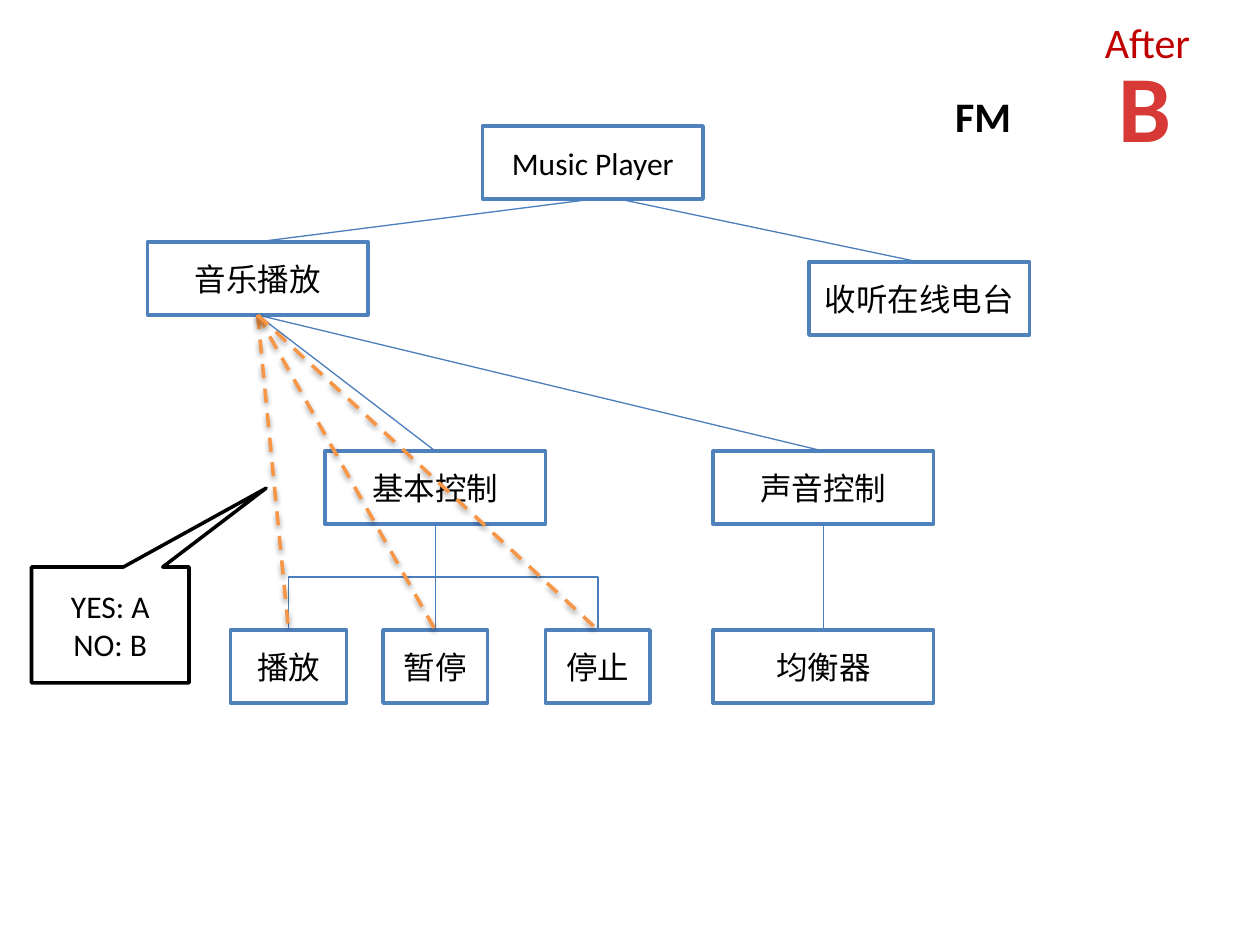
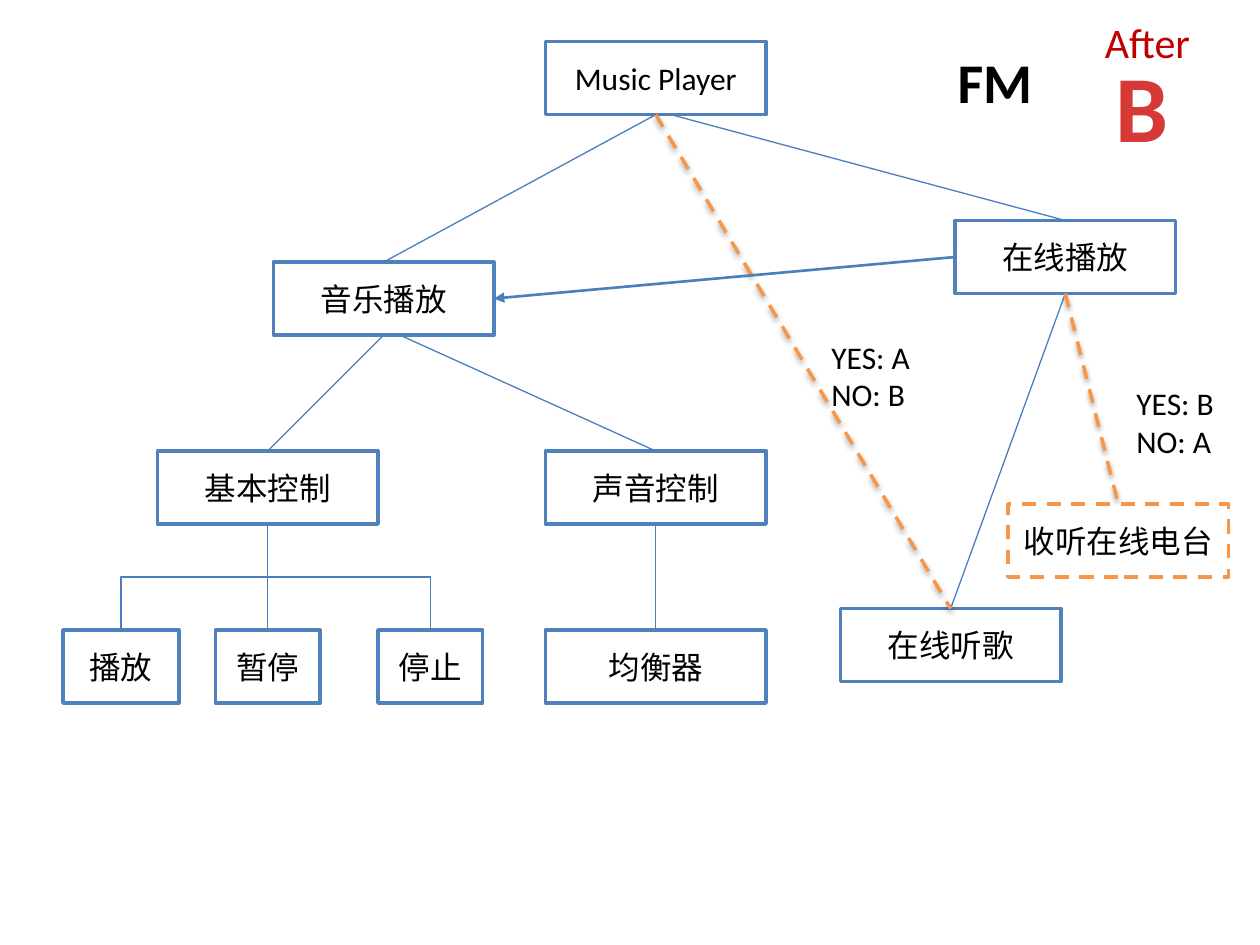
from dataclasses import dataclass

from lxml.etree import SubElement
from pptx import Presentation
from pptx.dml.color import RGBColor
from pptx.enum.dml import MSO_LINE
from pptx.enum.shapes import MSO_CONNECTOR, MSO_SHAPE
from pptx.enum.text import MSO_ANCHOR, PP_ALIGN
from pptx.oxml.ns import qn
from pptx.util import Inches, Pt


@dataclass(frozen=True)
class Theme:
    """Colours, type sizes and box sizes shared by both slides."""
    font: str = "Calibri"
    ink: str = "000000"
    paper: str = "FFFFFF"
    border: str = "4F81BD"
    link: str = "4B7EBC"
    optional: str = "F79646"
    after: str = "C00000"
    variant: str = "D73A36"
    body: int = 18
    label: int = 24
    heading: int = 32
    letter: int = 54
    box_w: float = 1.75
    box_h: float = 0.58
    small_w: float = 0.83


T = Theme()
BOTTOM, TOP, LEFT, RIGHT = 2, 0, 1, 3


def rgb(value):
    """Return a colour from its hex value."""
    return RGBColor.from_string(value)


def write(tf, text, size=T.body, color=T.ink, bold=False, align=PP_ALIGN.LEFT):
    """Fill a text frame, one paragraph for each line of text."""
    for i, line in enumerate(text.split("\n")):
        p = tf.paragraphs[0] if i == 0 else tf.add_paragraph()
        p.alignment = align
        r = p.add_run()
        r.text = line
        r.font.name, r.font.size, r.font.bold = T.font, Pt(size), bold
        r.font.color.rgb = rgb(color)


def style_line(line, color, width, dashed=False):
    """Set the colour, width and dash of a line."""
    line.color.rgb = rgb(color)
    line.width = Pt(width)
    if dashed:
        line.dash_style = MSO_LINE.DASH


def add_box(s, text, x, y, w=T.box_w, h=T.box_h, kind=MSO_SHAPE.RECTANGLE,
            color=T.border, dashed=False):
    """Add an outlined white shape with centred text."""
    sp = s.shapes.add_shape(kind, Inches(x), Inches(y), Inches(w), Inches(h))
    sp.shadow.inherit = False
    sp.fill.solid()
    sp.fill.fore_color.rgb = rgb(T.paper)
    style_line(sp.line, color, 2, dashed)
    tf = sp.text_frame
    tf.word_wrap = True
    tf.vertical_anchor = MSO_ANCHOR.MIDDLE
    write(tf, text, align=PP_ALIGN.CENTER)
    return sp


def add_text(s, text, x, y, w, h, inset=0.1, wrap=True, **fmt):
    """Add a text box."""
    sp = s.shapes.add_textbox(Inches(x), Inches(y), Inches(w), Inches(h))
    tf = sp.text_frame
    tf.word_wrap = wrap
    tf.margin_left = Inches(inset)
    write(tf, text, **fmt)


def set_effects(cx, shadow=False):
    """Clear the effects of a connector, or give it a soft shadow."""
    effects = SubElement(cx._element.spPr, qn("a:effectLst"))
    if shadow:
        outer = SubElement(effects, qn("a:outerShdw"), blurRad="40000",
                           dist="20000", dir="5400000", rotWithShape="0")
        black = SubElement(outer, qn("a:srgbClr"), val=T.ink)
        SubElement(black, qn("a:alpha"), val="38000")


def add_link(s, parent, child, shift=0, sites=(BOTTOM, TOP), color=T.link,
             width=0.75, dashed=False, arrow=False):
    """Join two shapes with a straight line, its start shifted sideways."""
    cx = s.shapes.add_connector(MSO_CONNECTOR.STRAIGHT, 0, 0, 0, 0)
    cx.begin_connect(parent, sites[0])
    cx.end_connect(child, sites[1])
    if shift:
        cx.begin_x += Inches(shift)
    style_line(cx.line, color, width, dashed)
    if arrow:
        SubElement(cx.line._get_or_add_ln(), qn("a:tailEnd"), type="triangle")
    set_effects(cx, shadow=dashed)


def add_option(s, parent, child):
    """Join two shapes with a dashed line for an optional feature."""
    add_link(s, parent, child, color=T.optional, width=2, dashed=True)


def add_elbow(s, parent, child):
    """Join a parent's bottom to a child's top with a vertical elbow."""
    x1, y1 = parent.left + parent.width // 2, parent.top + parent.height
    x2, y2 = child.left + child.width // 2, child.top
    mid_x, mid_y = (x1 + x2) // 2, (y1 + y2) // 2
    half_w, half_h = (y2 - y1) // 2, abs(x2 - x1) // 2
    side = 1 if x2 > x1 else -1
    cx = s.shapes.add_connector(
        MSO_CONNECTOR.ELBOW, mid_x + side * half_w, mid_y - half_h,
        mid_x - side * half_w, mid_y + half_h)
    turn = 270 if side == 1 else 90
    cx._element.spPr.find(qn("a:xfrm")).set("rot", str(turn * 60000))
    style_line(cx.line, T.link, 0.75)
    set_effects(cx)


def add_controls(s, music, x, shift=0):
    """Add the control branch under the music box; return its leaf boxes."""
    basic = add_box(s, "基本控制", x, 3.58)
    sound = add_box(s, "声音控制", x + 3.08, 3.58)
    equalizer = add_box(s, "均衡器", x + 3.08, 5)
    play = add_box(s, "播放", x - 0.75, 5, w=0.92)
    pause = add_box(s, "暂停", x + 0.46, 5, w=T.small_w)
    stop = add_box(s, "停止", x + 1.75, 5, w=T.small_w)
    add_link(s, music, basic)
    add_link(s, music, sound, shift=shift)
    add_link(s, sound, equalizer)
    add_elbow(s, basic, play)
    add_link(s, basic, pause)
    add_elbow(s, basic, stop)
    return play, pause, stop


def add_corner(s, fm_y, fm_size, fm_inset, letter_x):
    """Add the FM heading and the variant mark at the top right."""
    add_text(s, "FM", 7.42, fm_y, 1.2, 0.6, inset=fm_inset, size=fm_size,
             bold=True)
    add_text(s, "B", letter_x, 0.33, 0.63, 1.01, wrap=False, size=T.letter,
             color=T.variant, bold=True, align=PP_ALIGN.CENTER)
    add_text(s, "After", 8.67, 0.08, 1.3, 0.5, size=T.label, color=T.after)


def add_playback_slide(prs):
    """Build the slide with optional basic controls."""
    s = prs.slides.add_slide(prs.slide_layouts[6])
    player = add_box(s, "Music Player", 3.83, 1)
    music = add_box(s, "音乐播放", 1.17, 1.92)
    radio = add_box(s, "收听在线电台", 6.42, 2.08)
    add_link(s, player, music)
    add_link(s, player, radio, shift=0.21)
    for leaf in add_controls(s, music, 2.58):
        add_option(s, music, leaf)
    rule = add_box(s, "YES: A\nNO: B", 0.25, 4.5, 1.25, 0.92,
                   kind=MSO_SHAPE.RECTANGULAR_CALLOUT, color=T.ink)
    rule.adjustments[0], rule.adjustments[1] = 0.99, -1.18
    add_corner(s, 0.67, T.label, 0.16, 8.77)


def add_online_slide(prs):
    """Build the slide with optional online playback."""
    s = prs.slides.add_slide(prs.slide_layouts[6])
    player = add_box(s, "Music Player", 4.33, 0.33)
    music = add_box(s, "音乐播放", 2.17, 2.08)
    online = add_box(s, "在线播放", 7.58, 1.75)
    songs = add_box(s, "在线听歌", 6.67, 4.83)
    radio = add_box(s, "收听在线电台", 8, 4, color=T.optional, dashed=True)
    add_link(s, player, music)
    add_link(s, player, online, shift=0.12)
    add_link(s, online, songs)
    add_controls(s, music, 1.25, shift=0.13)
    add_option(s, online, radio)
    add_option(s, player, songs)
    add_text(s, "YES: A\nNO: B", 6.5, 2.63, 1, 0.71)
    add_text(s, "YES: B\nNO: A", 8.92, 3, 1.08, 0.71)
    add_link(s, online, music, sites=(LEFT, RIGHT), width=1.5, arrow=True)
    add_corner(s, 0.33, T.heading, 0.18, 8.75)


def main():
    """Build and save the deck."""
    prs = Presentation()
    prs.slide_width, prs.slide_height = Inches(10), Inches(7.5)
    add_playback_slide(prs)
    add_online_slide(prs)
    prs.save("out.pptx")


if __name__ == "__main__":
    main()
